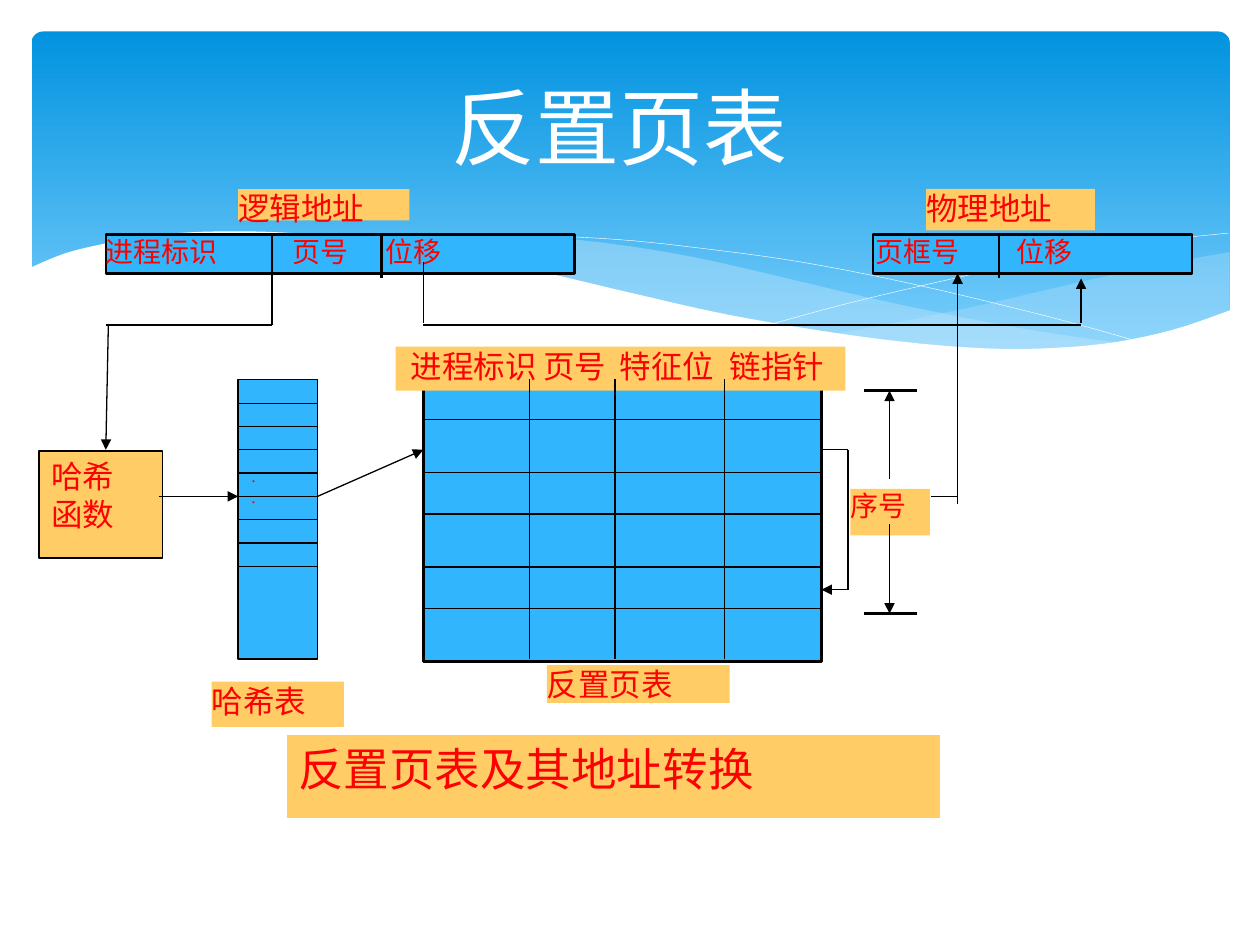
from lxml import etree
from pptx import Presentation
from pptx import util as u
from pptx.dml.color import RGBColor
from pptx.enum import shapes, text
from pptx.oxml.ns import qn

COLORS = {"sky": "0293E0", "pale": "83D3FE", "wave": "C6E7FC", "white": "FFFFFF",
          "black": "000000", "cell": "31B6FD", "label": "FFCC66", "red": "FF0000"}
SANS, SERIF = "Noto Sans CJK JP", "Times New Roman"
PAD = (0.1, 0.05, 0.1, 0.05)

BOTTOM_EDGE = [(9.77, 2.46), (9.3, 2.62), (8.75, 2.73), (8.09, 2.77), (7.44, 2.74),
               (6.68, 2.65), (5.79, 2.5), (5.03, 2.33), (4.18, 2.13), (3.39, 1.97),
               (2.71, 1.88), (2.11, 1.84), (1.61, 1.84), (1.19, 1.87), (0.85, 1.93),
               (0.52, 2.01), (0.23, 2.13)]
WAVES = [
    dict(curves=[[(9.76, 2), (9.21, 2.1), (8.61, 2.23), (7.79, 2.42), (7.06, 2.57), (6.61, 2.65)],
                 [(6.61, 2.65), (7.18, 2.73), (7.69, 2.77), (8.24, 2.77), (8.72, 2.74),
                  (9.21, 2.65), (9.76, 2.47)]], fill="wave", alpha=29),
    dict(curves=[[(8.93, 2.73), (8.07, 2.6), (7.06, 2.4), (6.29, 2.22), (5.55, 2.05),
                  (4.89, 1.94), (4.2, 1.87), (3.61, 1.85), (2.86, 1.91)],
                 [(2.86, 1.91), (3.62, 2.03), (4.49, 2.22), (5.3, 2.4), (6.01, 2.55),
                  (6.65, 2.66), (7.22, 2.74), (7.73, 2.78), (8.18, 2.79), (8.93, 2.73)]],
         fill="wave", alpha=40),
    dict(curves=[[(3.09, 1.95), (3.53, 1.89), (4.16, 1.87), (4.89, 1.9), (5.56, 1.97),
                  (6.36, 2.08), (7.27, 2.26), (8.31, 2.51), (9.07, 2.72)]], line="white"),
    dict(curves=[[(6.13, 2.57), (6.72, 2.41), (7.48, 2.23), (8.36, 2.04), (9.1, 1.92),
                  (9.75, 1.85)]], line="white"),
    dict(curves=[BOTTOM_EDGE, [(0.23, 3.29), (9.77, 3.29)]], fill="white"),
]

BOXES = [
    dict(at=(6.93, 1.86, 2.53, 0.31), content="页框号\t位移", fill="cell", line=1.5,
         size=16, inset=(0.02, 0, 0, 0), tabs=[1.12]),
    dict(at=(3.36, 3.05, 3.16, 2.2), fill="cell", line=1.5),
    dict(at=(0.84, 1.86, 3.72, 0.31), content="进程标识\t页号\t位移", fill="cell", line=1.5,
         size=16, tabs=[1.48, 2.22]),
    dict(at=(3.14, 2.75, 3.57, 0.35), content="进程标识\t页号\t特征位\t链指针",
         inset=(0.12, 0, 0, 0), tabs=[1.05, 1.66, 2.53]),
    dict(at=(6.75, 3.88, 0.63, 0.37), content="序号", size=16),
    dict(at=(4.34, 5.28, 1.45, 0.3), content="反置页表"),
    dict(at=(7.35, 1.5, 1.34, 0.33), content="物理地址"),
    dict(at=(1.89, 1.5, 1.36, 0.25), content="逻辑地址"),
    dict(at=(1.89, 3.01, 0.63, 2.22), content="·\n·", fill="cell", line=0.75,
         size=10, font=SERIF, inset=(0.1, 0.72, 0.1, 0.05)),
    dict(at=(0.31, 3.58, 0.98, 0.85), content="哈希\n函数", line=0.75, inset=PAD),
    dict(at=(1.68, 5.41, 1.05, 0.36), content="哈希表"),
    dict(at=(2.27, 5.83, 5.2, 0.67), content="反置页表及其地址转换", line=0.75,
         line_color="white", size=26, inset=PAD),
]

FIELD_DIVIDERS = [2.16, 3.03, 7.93]
TABLE_COLUMNS = [4.2, 4.88, 5.75]
TABLE_ROWS = [3.33, 3.75, 4.08, 4.5, 4.83]
HASH_ROWS = [3.2 + 0.185 * row for row in range(8)]
RANGE_ENDS = [3.1, 4.87]
PLAIN_LINES = [(2.16, 2.21, 2.16, 2.58), (0.84, 2.58, 2.16, 2.58),
               (3.36, 2.08, 3.36, 2.56), (3.36, 2.58, 8.58, 2.58),
               (6.52, 3.57, 6.73, 3.57), (6.73, 3.57, 6.73, 4.68), (7.39, 3.94, 7.6, 3.94)]
ARROWS = [(0.86, 2.58, 0.84, 3.57), (1.26, 3.94, 1.89, 3.94), (2.52, 3.94, 3.36, 3.57),
          (6.73, 4.68, 6.52, 4.68), (7.06, 3.8, 7.06, 3.1), (7.06, 4.16, 7.06, 4.87),
          (7.6, 4, 7.6, 2.17), (8.58, 2.56, 8.58, 2.21)]


def rgb(name):
    return RGBColor.from_string(COLORS[name])


def style(shape, fill=None, line=None, line_color="black"):
    shape.shadow.inherit = False
    if fill:
        shape.fill.solid()
        shape.fill.fore_color.rgb = rgb(fill)
    else:
        shape.fill.background()
    if line:
        shape.line.width = u.Pt(line)
        shape.line.color.rgb = rgb(line_color)
    else:
        shape.line.fill.background()


def write(shape, content, size=18, font=SANS, color="red", align=text.PP_ALIGN.LEFT,
          anchor=text.MSO_ANCHOR.TOP, inset=(0, 0, 0, 0), tabs=()):
    frame = shape.text_frame
    frame.word_wrap = True
    frame.vertical_anchor = anchor
    (frame.margin_left, frame.margin_top,
     frame.margin_right, frame.margin_bottom) = map(u.Inches, inset)
    frame.text = content
    for paragraph in frame.paragraphs:
        paragraph.alignment = align
        if tabs:
            stops = etree.SubElement(paragraph._p.get_or_add_pPr(), qn("a:tabLst"))
            for stop in tabs:
                etree.SubElement(stops, qn("a:tab"), pos=str(u.Inches(stop)), algn="l")
        for run in paragraph.runs:
            run.font.size = u.Pt(size)
            run.font.name = font
            run.font.color.rgb = rgb(color)
            etree.SubElement(run._r.get_or_add_rPr(), qn("a:ea"), typeface=font)


def smooth(points, steps=5):
    if len(points) < 3:
        return points
    padded = [points[0], *points, points[-1]]
    result = [points[0]]
    for a, b, c, d in zip(padded, padded[1:], padded[2:], padded[3:]):
        for step in range(1, steps + 1):
            t = step / steps
            result.append(tuple(
                (2 * q + (r - p) * t + (2 * p - 5 * q + 4 * r - s) * t ** 2
                 + (3 * q - p - 3 * r + s) * t ** 3) / 2
                for p, q, r, s in zip(a, b, c, d)))
    return result


def add_wave(slide, curves, fill=None, alpha=None, line=None):
    points = [(u.Inches(x), u.Inches(y)) for curve in curves for x, y in smooth(curve)]
    builder = slide.shapes.build_freeform(*points[0])
    builder.add_line_segments(points[1:], close=bool(fill))
    shape = builder.convert_to_shape()
    style(shape, fill, 0.25 if line else None, line)
    if alpha:
        color = shape._element.spPr.find(qn("a:solidFill"))[0]
        etree.SubElement(color, qn("a:alpha"), val=str(alpha * 1000))


def add_box(slide, at, content=None, fill="label", line=None, line_color="black", **format):
    shape = slide.shapes.add_shape(shapes.MSO_SHAPE.RECTANGLE, *map(u.Inches, at))
    style(shape, fill, line, line_color)
    if content:
        write(shape, content, **format)


def add_line(slide, ends, width=0.75, arrow=False):
    connector = slide.shapes.add_connector(shapes.MSO_CONNECTOR.STRAIGHT, *map(u.Inches, ends))
    connector.line.width = u.Pt(width)
    connector.line.color.rgb = rgb("black")
    if arrow:
        etree.SubElement(connector.line._get_or_add_ln(), qn("a:tailEnd"), type="triangle")
    etree.SubElement(connector._element.spPr, qn("a:effectLst"))


def add_sky(slide):
    sky = slide.shapes.add_shape(shapes.MSO_SHAPE.ROUNDED_RECTANGLE,
                                 *map(u.Inches, (0.25, 0.25, 9.51, 2.7)))
    style(sky)
    sky.adjustments[0] = 0.034
    sky.fill.gradient()
    sky.fill.gradient_angle = 270
    for stop, name in zip(sky.fill.gradient_stops, ("sky", "pale")):
        stop.color.rgb = rgb(name)


def main():
    presentation = Presentation()
    presentation.slide_width, presentation.slide_height = u.Inches(10), u.Inches(7.5)
    slide = presentation.slides.add_slide(presentation.slide_layouts[6])
    add_sky(slide)
    for wave in WAVES:
        add_wave(slide, **wave)
    title = slide.shapes.add_textbox(*map(u.Inches, (0.67, 0.5, 8.5, 1)))
    write(title, "反置页表", size=48, color="white", align=text.PP_ALIGN.CENTER,
          anchor=text.MSO_ANCHOR.MIDDLE)
    for box in BOXES:
        add_box(slide, **box)
    for x in FIELD_DIVIDERS:
        add_line(slide, (x, 1.86, x, 2.21), width=1.5)
    for y in RANGE_ENDS:
        add_line(slide, (6.86, y, 7.28, y), width=1.5)
    for x in TABLE_COLUMNS:
        add_line(slide, (x, 3.01, x, 5.23))
    for left, right, rows in ((3.36, 6.51, TABLE_ROWS), (1.89, 2.52, HASH_ROWS)):
        for y in rows:
            add_line(slide, (left, y, right, y))
    for ends in PLAIN_LINES:
        add_line(slide, ends)
    for ends in ARROWS:
        add_line(slide, ends, arrow=True)
    presentation.save("out.pptx")


if __name__ == "__main__":
    main()
